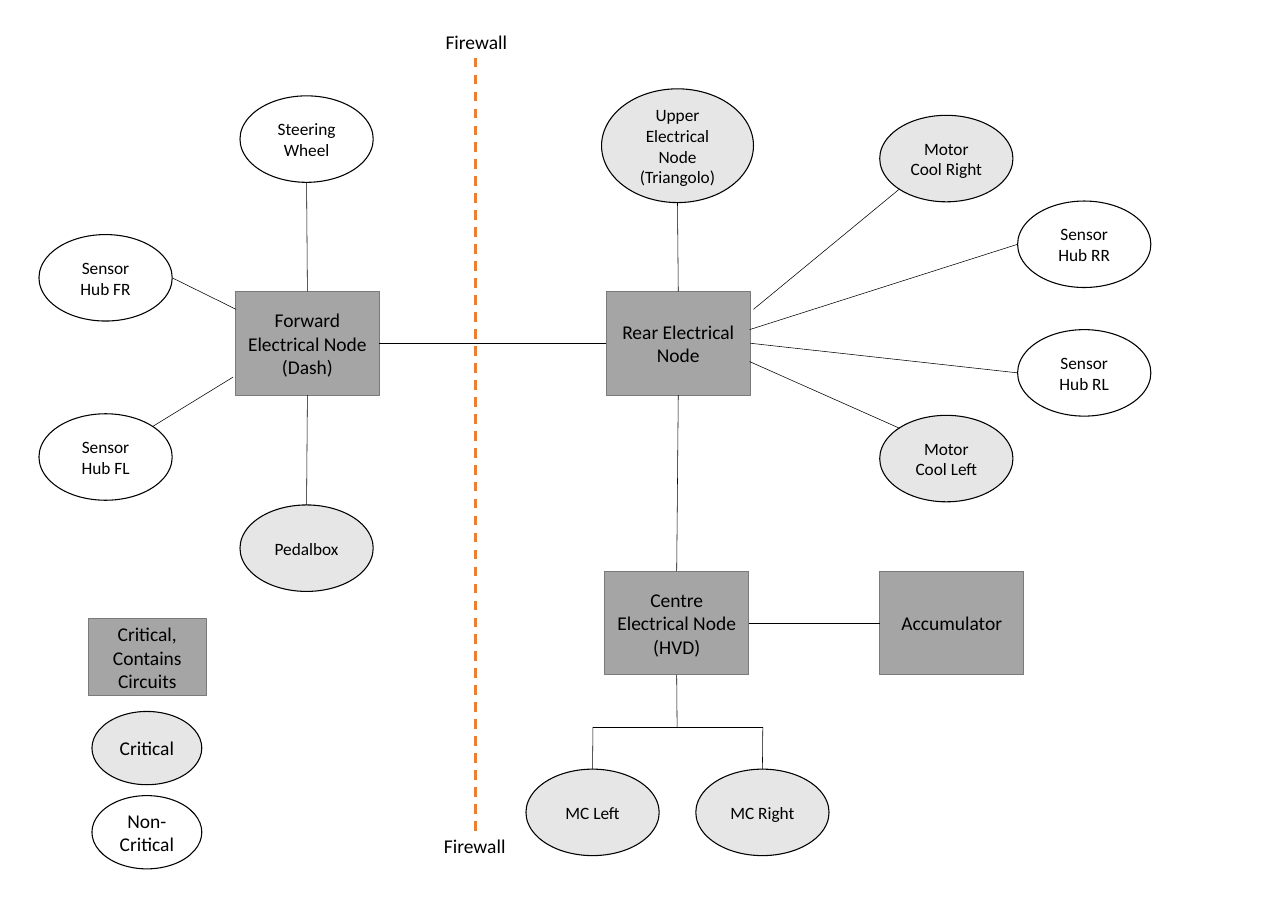
from pptx import Presentation
from pptx.dml.color import RGBColor
from pptx.enum.dml import MSO_LINE
from pptx.enum.shapes import MSO_CONNECTOR, MSO_SHAPE
from pptx.enum.text import MSO_ANCHOR, PP_ALIGN
from pptx.oxml.xmlchemy import OxmlElement
from pptx.util import Inches, Pt

RECT, OVAL = MSO_SHAPE.RECTANGLE, MSO_SHAPE.OVAL
STRAIGHT, DASH = MSO_CONNECTOR.STRAIGHT, MSO_LINE.DASH
MIDDLE, CENTER, LEFT = MSO_ANCHOR.MIDDLE, PP_ALIGN.CENTER, PP_ALIGN.LEFT

BLACK = RGBColor(0x00, 0x00, 0x00)
WHITE = RGBColor(0xFF, 0xFF, 0xFF)
PALE = RGBColor(0xE7, 0xE6, 0xE6)
GRAY = RGBColor(0xA5, 0xA5, 0xA5)
EDGE = RGBColor(0x7A, 0x7A, 0x7A)
ORANGE = RGBColor(0xED, 0x7D, 0x31)

# Kinds of node: outline, fill, edge, size, text size
KINDS = {
    "circuit": (RECT, GRAY, EDGE, (1.85, 1.33), 18),
    "critical": (OVAL, PALE, BLACK, (1.71, 1.11), 16),
    "plain": (OVAL, WHITE, BLACK, (1.71, 1.11), 16),
    "upper": (OVAL, PALE, BLACK, (1.95, 1.46), 16),
    "circuit key": (RECT, GRAY, EDGE, (1.52, 0.99), 18),
    "critical key": (OVAL, PALE, BLACK, (1.41, 0.94), 18),
    "plain key": (OVAL, WHITE, BLACK, (1.41, 0.94), 18),
}

# Name: kind, left, top, label
NODES = {
    "forward": ("circuit", 3.02, 3.74, "Forward Electrical Node (Dash)"),
    "rear": ("circuit", 7.78, 3.74, "Rear Electrical Node"),
    "centre": ("circuit", 7.76, 7.33, "Centre Electrical Node (HVD)"),
    "accumulator": ("circuit", 11.29, 7.33, "Accumulator"),
    "wheel": ("plain", 3.08, 1.23, "Steering Wheel"),
    "pedalbox": ("critical", 3.08, 6.48, "Pedalbox"),
    "mc right": ("critical", 8.93, 9.87, "MC Right"),
    "mc left": ("critical", 6.75, 9.87, "MC Left"),
    "upper": ("upper", 7.72, 1.14, "Upper Electrical Node (Triangolo)"),
    "hub fl": ("plain", 0.5, 5.31, "Sensor Hub FL"),
    "hub fr": ("plain", 0.5, 3.01, "Sensor Hub FR"),
    "hub rl": ("plain", 13.06, 4.23, "Sensor Hub RL"),
    "hub rr": ("plain", 13.06, 2.58, "Sensor Hub RR"),
    "cool left": ("critical", 11.29, 5.33, "Motor Cool Left"),
    "cool right": ("critical", 11.29, 1.48, "Motor Cool Right"),
    "plain key": ("plain key", 1.18, 10.21, "Non-Critical"),
    "critical key": ("critical key", 1.18, 9.13, "Critical"),
    "circuit key": ("circuit key", 1.13, 7.94, "Critical,\nContains Circuits"),
}

# Each end is a (node, side) pair or an (x, y) point
BUS_Y = 9.33
FORK, FORK_LEFT, FORK_RIGHT = (8.69, BUS_Y), (7.61, BUS_Y), (9.79, BUS_Y)
LINKS = [
    (("rear", "bottom"), ("centre", "top")),
    (("centre", "bottom"), FORK),
    (("mc left", "top"), FORK_LEFT),
    (FORK, FORK_LEFT),
    (FORK, FORK_RIGHT),
    (("mc right", "top"), FORK_RIGHT),
    (("pedalbox", "top"), ("forward", "bottom")),
    (("hub fl", "top right"), (2.99, 4.84)),
    (("hub fr", "right"), (3.03, 3.97)),
    (("forward", "top"), ("wheel", "bottom")),
    (("upper", "bottom"), ("rear", "top")),
    (("rear", "left"), ("forward", "right")),
    (("accumulator", "left"), ("centre", "right")),
    (("cool right", "bottom left"), (9.67, 3.97)),
    (("hub rr", "left"), (9.62, 4.23)),
    (("cool left", "top left"), (9.62, 4.64)),
    (("hub rl", "left"), ("rear", "right")),
]
FIREWALL = ((6.1, 0.74), (6.1, 10.66))
FIREWALL_LABELS = [(5.62, 0.34), (5.6, 10.66)]

# Where each side lies, as shares of width and height
SIDES = {
    "top": (0.5, 0), "left": (0, 0.5), "bottom": (0.5, 1), "right": (1, 0.5),
    "top left": (0.15, 0.15), "top right": (0.85, 0.15), "bottom left": (0.15, 0.85),
}
SITES = {"top": 0, "left": 1, "bottom": 2, "right": 3}


def write(frame, text, size, align):
    frame.text = text
    for para in frame.paragraphs:
        para.alignment = align
        for span in para.runs:
            span.font.color.rgb = BLACK
            for name, value in {"name": "Calibri", "size": Pt(size)}.items():
                setattr(span.font, name, value)


def add_node(page, kind, left, top, label):
    outline, fill, edge, (width, height), size = KINDS[kind]
    node = page.shapes.add_shape(
        outline, Inches(left), Inches(top), Inches(width), Inches(height))
    node.shadow.inherit = False
    node.fill.solid()
    node.fill.fore_color.rgb = fill
    node.line.color.rgb = edge
    node.line.width = Pt(1)
    node.text_frame.word_wrap = True
    node.text_frame.vertical_anchor = MIDDLE
    write(node.text_frame, label, size, CENTER)
    return node


def locate(end):
    if end[0] not in NODES:
        return end
    kind, left, top, _ = NODES[end[0]]
    width, height = KINDS[kind][3]
    across, down = SIDES[end[1]]
    return left + across * width, top + down * height


def add_line(page, start, finish, color, weight):
    points = [Inches(value) for value in (*locate(start), *locate(finish))]
    line = page.shapes.add_connector(STRAIGHT, *points)
    line.line.color.rgb = color
    line.line.width = Pt(weight)
    line._element.spPr.append(OxmlElement("a:effectLst"))
    return line


deck = Presentation()
deck.slide_width, deck.slide_height = Inches(16.53), Inches(11.69)
page = deck.slides.add_slide(deck.slide_layouts[6])

# Nodes and legend
shapes = {name: add_node(page, *node) for name, node in NODES.items()}

# Links, joined where they meet the middle of a rectangle's side
for start, finish in LINKS:
    link = add_line(page, start, finish, BLACK, 0.5)
    for end, join in ((start, link.begin_connect), (finish, link.end_connect)):
        if end[0] in NODES and KINDS[NODES[end[0]][0]][0] == RECT:
            join(shapes[end[0]], SITES[end[1]])

# Firewall
add_line(page, *FIREWALL, ORANGE, 2.25).line.dash_style = DASH
for left, top in FIREWALL_LABELS:
    box = page.shapes.add_textbox(Inches(left), Inches(top), Inches(1), Inches(0.4))
    box.text_frame.word_wrap = False
    write(box.text_frame, "Firewall", 18, LEFT)

deck.save("out.pptx")
